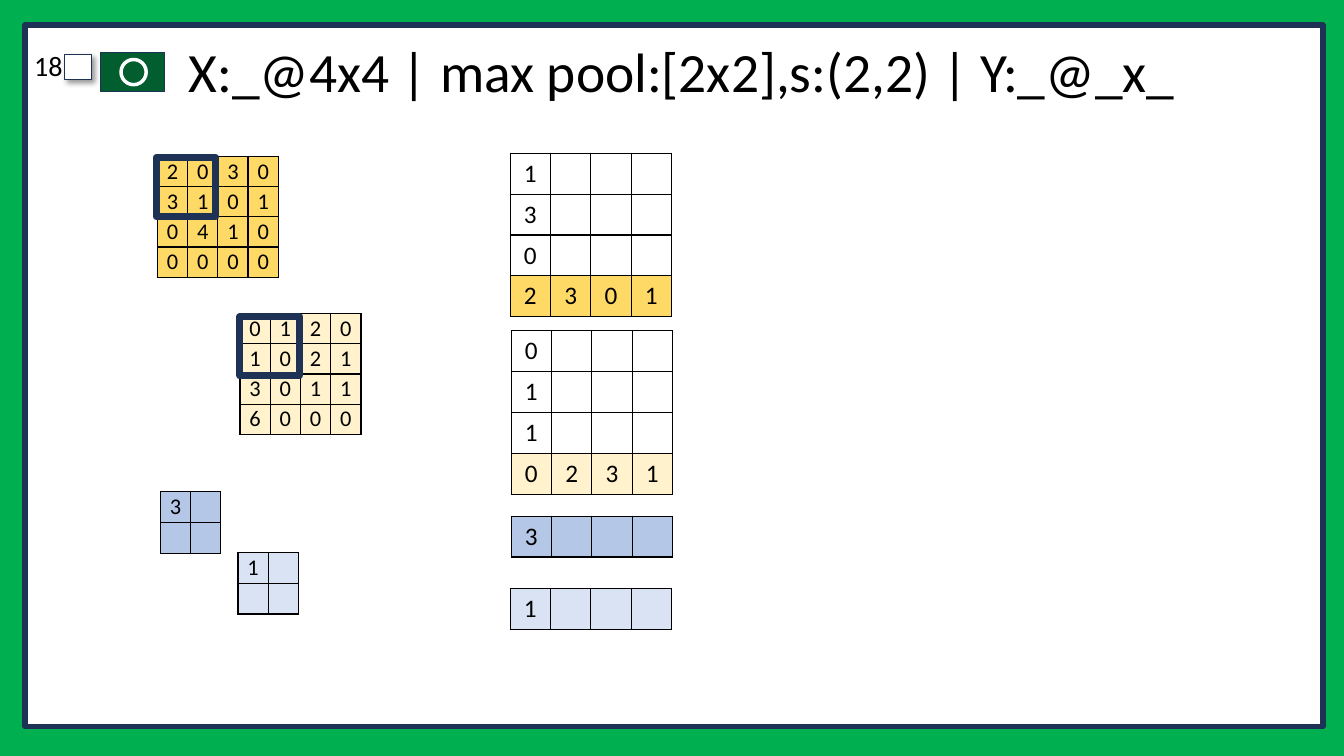
"""Build the max pooling exercise slide."""
from lxml import etree
from pptx import Presentation
from pptx.dml.color import RGBColor
from pptx.enum.shapes import MSO_SHAPE
from pptx.enum.text import MSO_ANCHOR, MSO_AUTO_SIZE, PP_ALIGN
from pptx.oxml.ns import qn
from pptx.util import Inches, Pt

RECT, OVAL = MSO_SHAPE.RECTANGLE, MSO_SHAPE.OVAL
LEFT, CENTER, RIGHT = PP_ALIGN.LEFT, PP_ALIGN.CENTER, PP_ALIGN.RIGHT
MIDDLE = MSO_ANCHOR.MIDDLE
NO_FIT = MSO_AUTO_SIZE.NONE

BLACK = RGBColor(0x00, 0x00, 0x00)
WHITE = RGBColor(0xFF, 0xFF, 0xFF)
NAVY = RGBColor(0x1E, 0x32, 0x56)
GREEN = RGBColor(0x00, 0xB0, 0x50)
DARK_GREEN = RGBColor(0x03, 0x5E, 0x2F)
GOLD = RGBColor(0xFF, 0xD9, 0x66)
CREAM = RGBColor(0xFF, 0xF2, 0xCC)
BLUE = RGBColor(0xB4, 0xC7, 0xE7)
PALE_BLUE = RGBColor(0xDA, 0xE3, 0xF3)

FONT = "Calibri"
SMALL = {"size": 0.3, "font": 16, "inset": 0}
LARGE = {"size": 0.4, "font": 18, "inset": None}

MATRICES = [
    (1.56, 1.55, GOLD, ["2030", "3101", "0410", "0000"]),
    (2.38, 3.11, CREAM, ["0120", "1021", "3011", "6000"]),
    (1.59, 4.88, BLUE, ["3 ", "  "]),
    (2.36, 5.48, PALE_BLUE, ["1 ", "  "]),
]
WINDOWS = [
    (5.06, 1.52, GOLD, ["1   ", "3   ", "0   ", "2301"]),
    (5.07, 3.28, CREAM, ["0   ", "1   ", "1   ", "0231"]),
    (5.07, 5.12, BLUE, ["3   "]),
    (5.06, 5.84, PALE_BLUE, ["1   "]),
]


def write(tf, text, size, align, spacing=None):
    """Put one formatted paragraph into a text frame."""
    p = tf.paragraphs[0]
    p.alignment = align
    p.line_spacing = spacing
    r = p.add_run()
    r.text = text
    for name, value in {"name": FONT, "size": Pt(size), "bold": False}.items():
        setattr(r.font, name, value)
    r.font.color.rgb = BLACK


def add_box(s, kind, box, fill, line, width):
    """Add a preset shape with an outline and an optional fill."""
    sp = s.shapes.add_shape(kind, *map(Inches, box))
    sp.shadow.inherit = False
    if fill is None:
        sp.fill.background()
    else:
        sp.fill.solid()
        sp.fill.fore_color.rgb = fill
    sp.line.color.rgb = line
    sp.line.width = Pt(width)
    return sp


def add_shadow(sp):
    """Give a shape a soft shadow to the lower right."""
    effects = sp.element.spPr.find(qn("a:effectLst"))
    shadow = etree.SubElement(effects, qn("a:outerShdw"), blurRad=str(Pt(4)),
                              dist=str(Pt(3)), dir="2700000", algn="tl", rotWithShape="0")
    color = etree.SubElement(shadow, qn("a:srgbClr"), val=str(BLACK))
    etree.SubElement(color, qn("a:alpha"), val="40000")


def add_borders(cell):
    """Draw thin black lines on all four sides of a cell."""
    tc_pr = cell._tc.get_or_add_tcPr()
    for side in ("lnL", "lnR", "lnT", "lnB"):
        line = etree.SubElement(tc_pr, qn("a:" + side), w=str(Pt(1)))
        fill = etree.SubElement(line, qn("a:solidFill"))
        etree.SubElement(fill, qn("a:srgbClr"), val=str(BLACK))


def add_grid(s, left, top, fill, rows, style, filled_from=0):
    """Add a table of square cells, filled from the given row down."""
    size = style["size"]
    box = (left, top, size * len(rows[0]), size * len(rows))
    table = s.shapes.add_table(len(rows), len(rows[0]), *map(Inches, box)).table
    table.first_row = table.horz_banding = False
    for column in table.columns:
        column.width = Inches(size)
    for i, values in enumerate(rows):
        table.rows[i].height = Inches(size)
        for j, value in enumerate(values):
            cell = table.cell(i, j)
            cell.vertical_anchor = MIDDLE
            if style["inset"] is not None:
                for side in ("left", "right", "top", "bottom"):
                    setattr(cell, "margin_" + side, Inches(style["inset"]))
            add_borders(cell)
            if i >= filled_from:
                cell.fill.solid()
                cell.fill.fore_color.rgb = fill
            else:
                cell.fill.background()
            if value.strip():
                write(cell.text_frame, value, style["font"], CENTER)


def add_frame(s):
    """Add the panel, the check box, the badge and the slide number."""
    add_box(s, RECT, (0.25, 0.25, 12.87, 6.96), WHITE, NAVY, 4)
    add_shadow(add_box(s, RECT, (0.64, 0.54, 0.27, 0.25), WHITE, NAVY, 1))
    add_box(s, RECT, (1, 0.52, 0.63, 0.39), DARK_GREEN, NAVY, 1)
    add_box(s, OVAL, (1.2, 0.59, 0.25, 0.25), DARK_GREEN, WHITE, 2.5)
    tf = s.shapes.add_textbox(*map(Inches, (-0.02, 0.47, 0.74, 0.45))).text_frame
    tf.word_wrap = True
    write(tf, "18", 20, RIGHT, 0.9)


def add_title(s, text):
    """Move the title placeholder into place above the panel and fill it."""
    title = s.shapes.title
    box = {"left": 1.77, "top": 0.4, "width": 10.65, "height": 0.68}
    for name, value in box.items():
        setattr(title, name, Inches(value))
    tf = title.text_frame
    for name, value in {"vertical_anchor": MIDDLE, "word_wrap": True, "auto_size": NO_FIT}.items():
        setattr(tf, name, value)
    write(tf, text, 39.6, LEFT, 0.9)
    s.shapes._spTree.append(title.element)


def main():
    """Build and save the slide."""
    prs = Presentation()
    prs.slide_width, prs.slide_height = Inches(13.33), Inches(7.5)
    s = prs.slides.add_slide(prs.slide_layouts[5])
    s.background.fill.solid()
    s.background.fill.fore_color.rgb = GREEN
    add_frame(s)
    add_title(s, "X:_@4x4 | max pool:[2x2],s:(2,2) | Y:_@_x_")
    for left, top, fill, rows in MATRICES:
        add_grid(s, left, top, fill, rows, SMALL)
    for left, top, fill, rows in WINDOWS:
        add_grid(s, left, top, fill, rows, LARGE, len(rows) - 1)
    for left, top in ((1.55, 1.56), (2.38, 3.14)):
        add_box(s, RECT, (left, top, 0.59, 0.59), None, NAVY, 5)
    prs.save("out.pptx")


if __name__ == "__main__":
    main()
